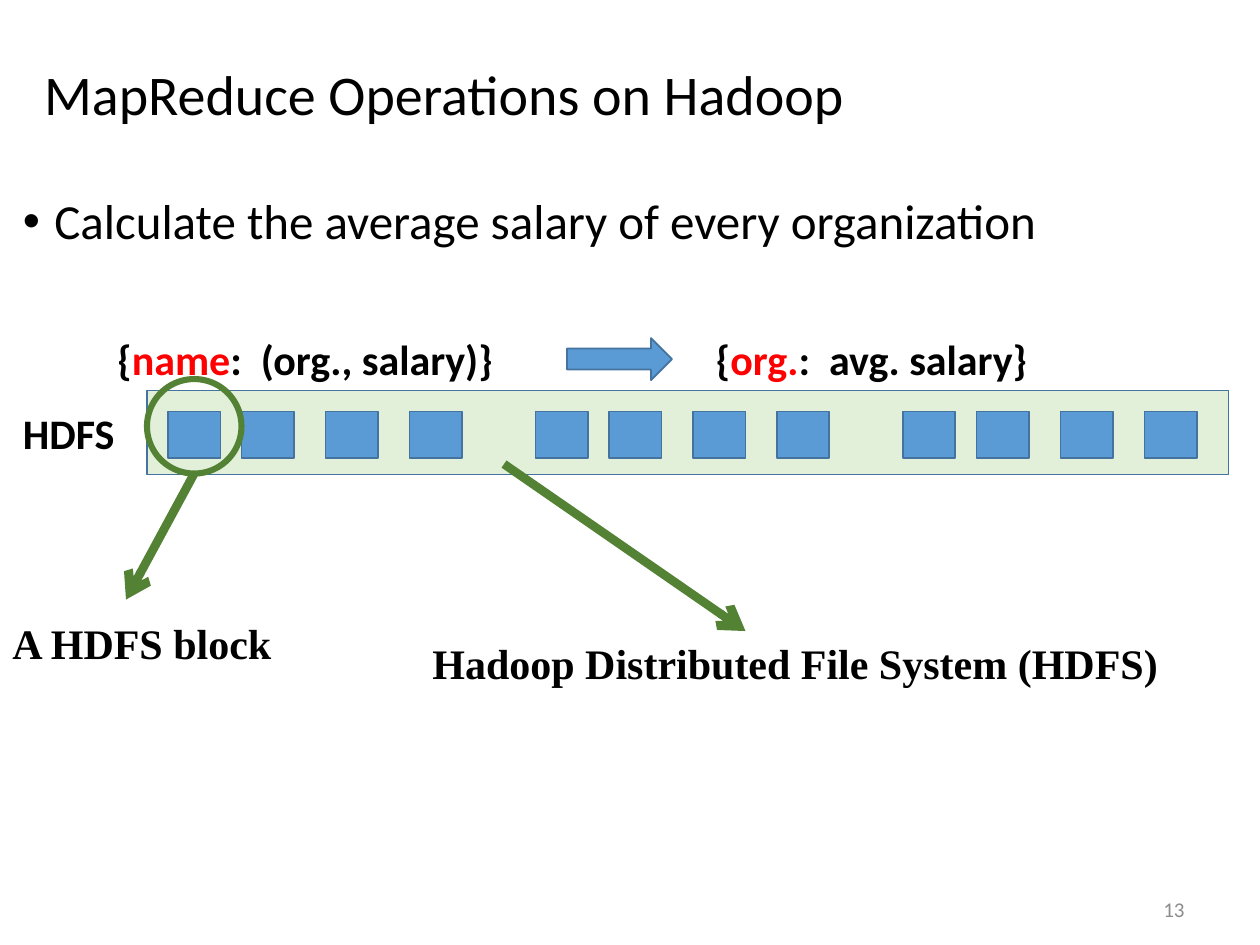
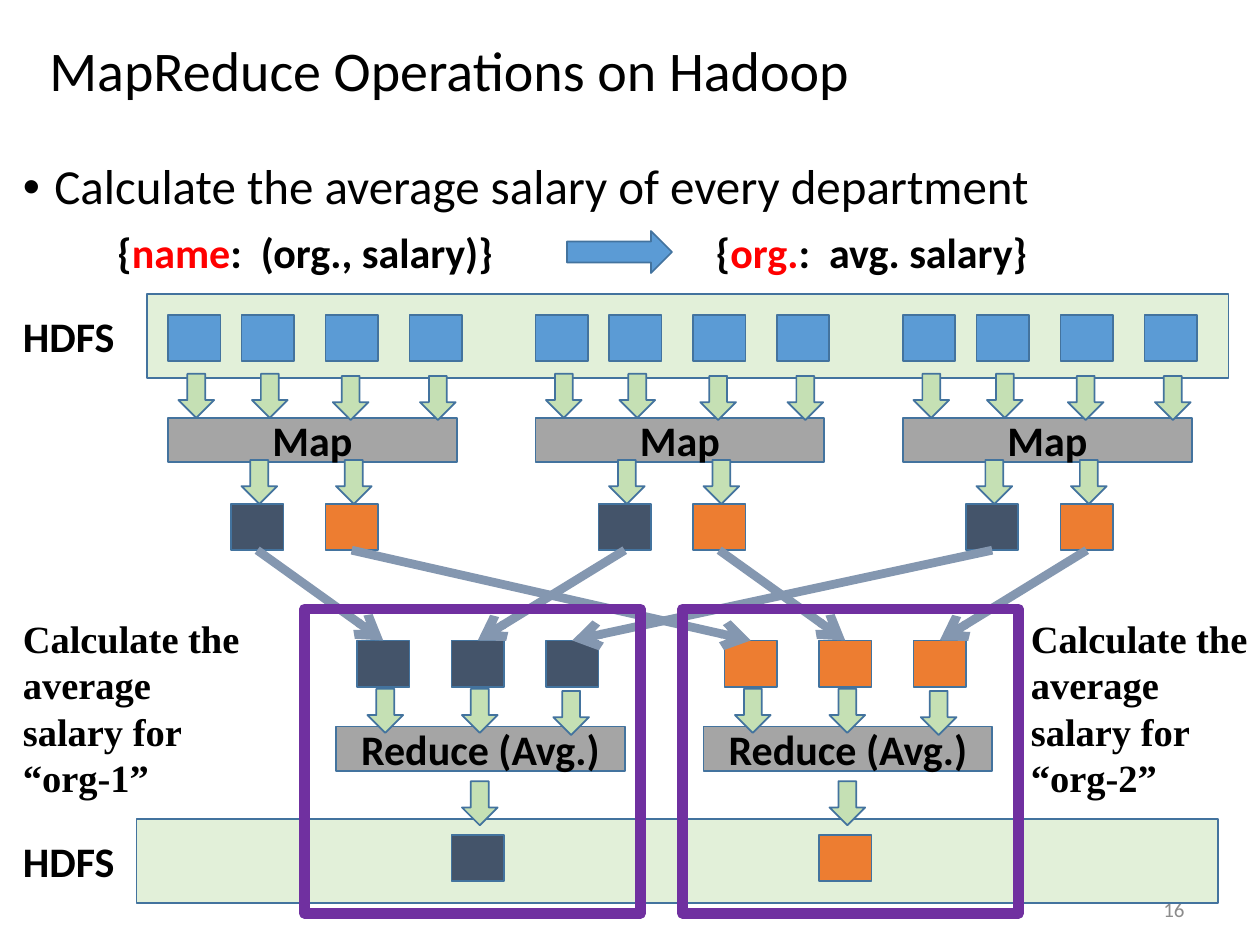
from lxml import etree
from pptx import Presentation
from pptx.dml.color import RGBColor
from pptx.enum.shapes import MSO_CONNECTOR, MSO_SHAPE as SHAPE
from pptx.enum.text import MSO_ANCHOR as ANCHOR, PP_ALIGN as ALIGN
from pptx.oxml.ns import qn
from pptx.util import Inches, Pt

WIDTH, HEIGHT = Inches(10), Inches(7.5)
COLS, ROWS = 120, 90
SANS, SERIF = "Calibri", "Times New Roman"
BLACK, RED, GREY = "000000", "FF0000", "8C8C8C"
EDGE, BLUE, BAND, STEP = "43739E", "5B9BD5", "E2F0D9", "A5A5A5"
ARROW, GREEN, SHUFFLE, PURPLE = "C5E0B4", "548235", "8497B0", "7030A0"
ORGS = ["44546A", "ED7D31"]
BLOCK_W, BLOCK_H = 5, 4.4
STEP_W, STEP_H = 27.5, 4.2
GROUP = 35
SPLITS = [0, 7, 15, 23]
SPLIT_ARROWS = [(1, 0), (8, 0), (15.7, 0.2), (24, 0.2)]
INPUT_ARROWS = [(1, 0), (10, 0), (18.7, 0.2)]


def color(value):
    """Turn a hex string into a colour."""
    return RGBColor.from_string(value)


def grid(x, y):
    """Turn columns and rows into slide lengths."""
    return round(WIDTH * x / COLS), round(HEIGHT * y / ROWS)


def style(p, size, font=SANS, tint=BLACK, bold=False):
    """Format every run of a paragraph."""
    for r in p.runs:
        r.font.size, r.font.name, r.font.bold = Pt(size), font, bold
        r.font.color.rgb = color(tint)


def shape(s, kind, x, y, w, h, fill=None, edge=EDGE, weight=1):
    """Add a preset shape, hollow when no fill is given."""
    sp = s.shapes.add_shape(kind, *grid(x, y), *grid(w, h))
    sp.shadow.inherit = False
    if fill:
        sp.fill.solid()
        sp.fill.fore_color.rgb = color(fill)
    else:
        sp.fill.background()
    sp.line.color.rgb = color(edge)
    sp.line.width = Pt(weight)
    return sp


def block(s, x, y, fill):
    """Add one data block."""
    shape(s, SHAPE.RECTANGLE, x, y, BLOCK_W, BLOCK_H, fill)


def down_arrow(s, x, y):
    """Add a small arrow pointing to the next stage."""
    shape(s, SHAPE.DOWN_ARROW, x, y, 3.4, STEP_H, ARROW)


def step(s, x, y, text):
    """Add a labelled processing step."""
    sp = shape(s, SHAPE.RECTANGLE, x, y, STEP_W, STEP_H, STEP)
    tf = sp.text_frame
    tf.text, tf.vertical_anchor = text, ANCHOR.MIDDLE
    tf.paragraphs[0].alignment = ALIGN.CENTER
    style(tf.paragraphs[0], 24, bold=True)


def label(s, x, y, w, h, text, size=24, font=SANS, tint=BLACK, bold=True, wrap=True):
    """Add a text box and return its frame."""
    tf = s.shapes.add_textbox(*grid(x, y), *grid(w, h)).text_frame
    tf.text, tf.word_wrap = text, wrap
    style(tf.paragraphs[0], size, font, tint, bold)
    return tf


def pointer(s, x1, y1, x2, y2, tint):
    """Add a thick line with an open arrowhead."""
    c = s.shapes.add_connector(MSO_CONNECTOR.STRAIGHT, *grid(x1, y1), *grid(x2, y2))
    c.line.color.rgb, c.line.width = color(tint), Pt(5)
    etree.SubElement(c.line._get_or_add_ln(), qn("a:tailEnd"), type="arrow")
    etree.SubElement(c._element.spPr, qn("a:effectLst"))


def storage(s, x, y):
    """Add an HDFS band with its label."""
    shape(s, SHAPE.RECTANGLE, x, y, 103, 8, BAND)
    label(s, 1, y + 1, 11.3, 6, "HDFS", wrap=False)


def input_storage(s, x, y):
    """Add the HDFS band holding three groups of blocks."""
    storage(s, x, y)
    for k in range(3):
        for dx in SPLITS:
            block(s, x + 2 + k * GROUP + dx, y + 2, BLUE)


def record(s, x, y, key, value):
    """Add a key and value pair with the key in red."""
    tf = label(s, x, y, 46, 6, "{")
    p = tf.paragraphs[0]
    for text in (key, f":  {value}}}"):
        p.add_run().text = text
    style(p, 24, bold=True)
    p.runs[1].font.color.rgb = color(RED)


def conversion(s, x, y):
    """Add the input record, an arrow and the output record."""
    record(s, x, y, "name", "(org., salary)")
    shape(s, SHAPE.RIGHT_ARROW, x + 44, y + 1, 10, 4, BLUE)
    record(s, x + 57, y, "org.", "avg. salary")


def base_slide(prs, title, title_box, bullet, bullet_y, number):
    """Add a slide with its title, bullet and page number."""
    s = prs.slides.add_slide(prs.slide_layouts[5])
    sp, (x, y, w, h) = s.shapes.title, title_box
    sp.left, sp.top = grid(x, y)
    sp.width, sp.height = grid(w, h)
    tf = sp.text_frame
    tf.text, tf.vertical_anchor, tf.word_wrap = title, ANCHOR.MIDDLE, True
    p = tf.paragraphs[0]
    p.alignment, p.line_spacing = ALIGN.LEFT, 0.9
    style(p, 32)

    p = label(s, 1, bullet_y, 119, 7, bullet, 28, bold=False).paragraphs[0]
    p.line_spacing = 0.9
    pPr = p._p.get_or_add_pPr()
    pPr.set("marL", str(Inches(0.25)))
    pPr.set("indent", str(-Inches(0.25)))
    etree.SubElement(pPr, qn("a:buFont"), typeface="Arial")
    etree.SubElement(pPr, qn("a:buChar"), char="•")

    tf = label(s, 86, 84.2, 28, 4.8, number, 12, tint=GREY, bold=False)
    tf.vertical_anchor = ANCHOR.MIDDLE
    tf.paragraphs[0].alignment = ALIGN.RIGHT
    return s


def block_callouts(s, x, y):
    """Explain one block and the whole file system."""
    shape(s, SHAPE.OVAL, x, y - 1.1, 9, 9, edge=GREEN, weight=3.5)
    pointer(s, x + 4.5, y + 7.9, x - 2, y + 19.9, GREEN)
    label(s, 0, y + 21, 27.7, 6, "A HDFS block", font=SERIF, wrap=False)
    pointer(s, x + 34, y + 7, x + 57, y + 22.9, GREEN)
    label(s, x + 26, y + 22.9, 73, 6, "Hadoop Distributed File System (HDFS)",
          font=SERIF, wrap=False)


def map_group(s, x, y):
    """Add a map step with its arrows and one output block per organization."""
    step(s, x, y, "Map")
    for k, org in enumerate(ORGS):
        block(s, x + 6 + 9 * k, y + 8.2, org)
        down_arrow(s, x + 7 + 9 * k, y + 4)
    for dx, dy in SPLIT_ARROWS:
        down_arrow(s, x + dx, y - 4.2 + dy)


def reduce_group(s, x, y, org):
    """Add three input blocks feeding a reduce step."""
    for k in range(3):
        block(s, x + 9 * k, y, org)
    step(s, x - 2, y + 8.2, "Reduce (Avg.)")
    for dx, dy in INPUT_ARROWS:
        down_arrow(s, x + dx, y + 4.6 + dy)


def shuffle(s, map_x, map_y, reduce_x, reduce_y):
    """Link every map output to its reduce input."""
    for k in range(3):
        for n in range(len(ORGS)):
            pointer(s, map_x + GROUP * k + 9 * n, map_y,
                    reduce_x + GROUP * n + 9 * k, reduce_y, SHUFFLE)


def output_storage(s, x, y):
    """Add the HDFS band that receives one result per organization."""
    storage(s, x, y)
    for n, org in enumerate(ORGS):
        block(s, x + 30 + GROUP * n, y + 1.5, org)
        down_arrow(s, x + 31 + GROUP * n, y - 3.6)


def reduce_frames(s, x, y):
    """Frame each reduce branch and describe it at the side."""
    for n, note_x in enumerate((1, 97)):
        shape(s, SHAPE.RECTANGLE, x + 36 * n, y, 32, 29, edge=PURPLE, weight=6)
        tf = label(s, note_x, y, 23, 14.5,
                   f"Calculate the average salary for “org-{n + 1}”", 22, SERIF)
        tf.margin_right = 0


def storage_slide(prs, title):
    """Build the slide that introduces HDFS blocks."""
    s = base_slide(prs, title, (3, 4.8, 114, 9),
                   "Calculate the average salary of every organization", 18.2, "13")
    input_storage(s, 14, 37.2)
    conversion(s, 10, 31.2)
    block_callouts(s, 14, 37.2)


def flow_slide(prs, title):
    """Build the slide that shows the full map and reduce flow."""
    s = base_slide(prs, title, (3.5, 1.3, 114, 11.4),
                   "Calculate the average salary of every department", 14.9, "16")
    input_storage(s, 14, 28)
    for k in range(3):
        map_group(s, 16 + GROUP * k, 39.8)
    for n, org in enumerate(ORGS):
        reduce_group(s, 34 + GROUP * n, 61, org)
    shuffle(s, 24.5, 52.4, 36.5, 61)
    output_storage(s, 13, 78)
    conversion(s, 10, 21)
    reduce_frames(s, 29, 58)


def main():
    """Build and save the presentation."""
    prs = Presentation()
    prs.slide_width, prs.slide_height = WIDTH, HEIGHT
    title = "MapReduce Operations on Hadoop"
    storage_slide(prs, title)
    flow_slide(prs, title)
    prs.save("out.pptx")


if __name__ == "__main__":
    main()
